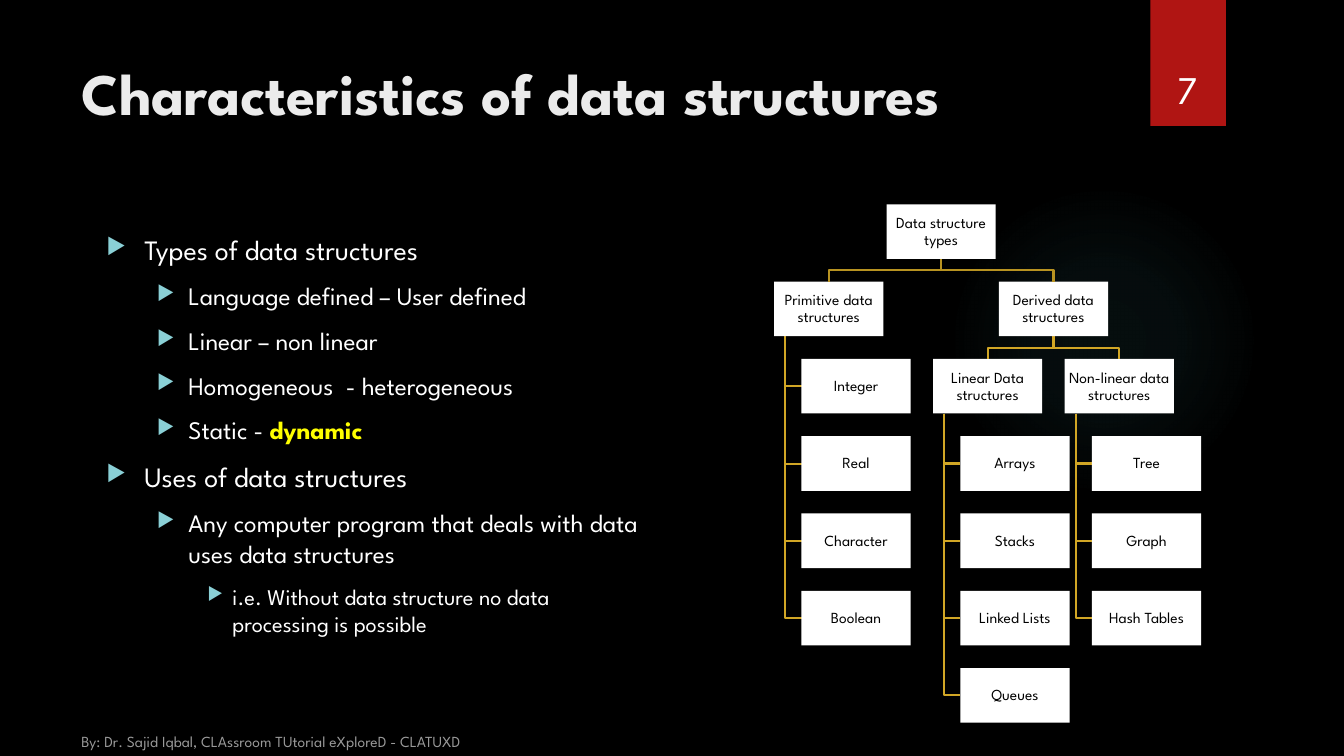
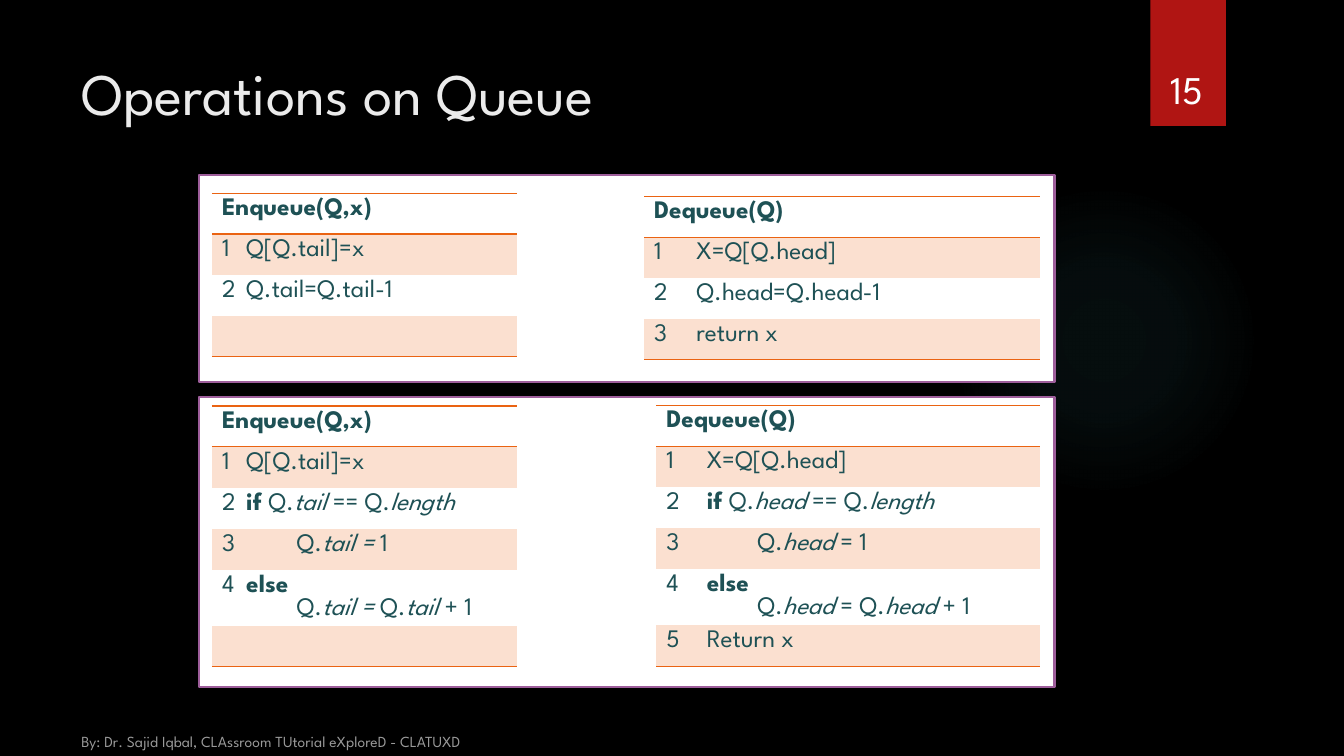
from dataclasses import dataclass

from lxml.etree import SubElement
from pptx import Presentation
from pptx.dml.color import RGBColor
from pptx.enum.shapes import MSO_SHAPE
from pptx.enum.text import MSO_ANCHOR, PP_ALIGN
from pptx.oxml import parse_xml
from pptx.oxml.ns import nsdecls, qn
from pptx.util import Pt


@dataclass(frozen=True)
class Theme:
    font: str = "League Spartan"
    back: str = "000000"
    white: str = "FFFFFF"
    title: str = "EBEBEB"
    faint: str = "999999"
    red: str = "B01513"
    glow: str = "50B9C1"
    mark: str = "8AD0D6"
    key: str = "FFFF00"
    root: str = "B89321"
    branch: str = "D1A625"
    edge: str = "9E5E9B"
    code: str = "1E5155"
    rule: str = "EA6312"
    band: str = "FBE0D0"
    head: int = 42
    page: int = 28
    body: tuple = (20, 18, 16)
    cell: int = 18
    small: int = 11
    lead: float = 1.22
    tight: float = 1.1
    dense: float = 0.92


THEME = Theme()
FOOT = "By: Dr. Sajid Iqbal, CLAssroom TUtorial eXploreD - CLATUXD"
NO_GRID = "{2D5ABB26-0587-4C30-8999-92F81FD0307C}"
INDENT = ((27, -27), (58.5, -22.5), (90, -18))


def tint(code):
    return RGBColor.from_string(code)


def write(para, text, size=18, color=THEME.white, key=None, bold=False,
          lead=THEME.lead, align=PP_ALIGN.LEFT):
    para.alignment = align
    para.line_spacing = Pt(round(size * lead, 2))
    for i, chunk in enumerate(text.split("*")):
        for j, piece in enumerate(chunk.split("_")):
            if piece:
                run = para.add_run()
                run.text = piece
                font = run.font
                font.name, font.size = THEME.font, Pt(size)
                font.bold = bold or i % 2 == 1
                font.italic = j % 2 == 1
                font.color.rgb = tint(key if key and i % 2 else color)


class Deck:
    def __init__(self, theme):
        self.theme = theme
        self.file = Presentation()
        self.file.slide_width, self.file.slide_height = Pt(960), Pt(540)
        self.slide = None

    def start(self, title, page, bold=False):
        look = self.theme
        self.slide = self.file.slides.add_slide(self.file.slide_layouts[6])
        fill = self.slide.background.fill
        fill.solid()
        fill.fore_color.rgb = tint(look.back)
        self.glow(677.5, 131.8, 221.8)
        self.box(821.7, 0, 54, 90, look.red)
        self.text(51, 36, 741, 110, title, size=look.head,
                  color=look.title, bold=bold)
        self.text(51, 516, 304, 24, FOOT, MSO_ANCHOR.BOTTOM,
                  size=look.small, color=look.faint)
        self.text(815, 23, 66, 60.5, page, MSO_ANCHOR.BOTTOM,
                  size=look.page, align=PP_ALIGN.CENTER)

    def box(self, x, y, wide, high, fill, line=None, kind=MSO_SHAPE.RECTANGLE):
        shape = self.slide.shapes.add_shape(kind, Pt(x), Pt(y), Pt(wide), Pt(high))
        shape.shadow.inherit = False
        shape.fill.solid()
        shape.fill.fore_color.rgb = tint(fill)
        if line:
            shape.line.color.rgb = tint(line)
            shape.line.width = Pt(1.5)
        else:
            shape.line.fill.background()
        return shape

    def glow(self, x, y, size):
        shape = self.box(x, y, size, size, self.theme.glow, kind=MSO_SHAPE.OVAL)
        stops = "".join(
            f'<a:gs pos="{pos}000"><a:srgbClr val="{self.theme.glow}">'
            f'<a:alpha val="{alpha}000"/></a:srgbClr></a:gs>'
            for pos, alpha in ((0, 7), (36, 6), (69, 0), (100, 0)))
        grad = parse_xml(
            f'<a:gradFill {nsdecls("a")}><a:gsLst>{stops}</a:gsLst>'
            '<a:path path="circle"><a:fillToRect l="50000" t="50000" '
            'r="50000" b="50000"/></a:path></a:gradFill>')
        props = shape.fill._xPr
        props.replace(props.find(qn("a:solidFill")), grad)

    def area(self, x, y, wide, high, anchor=MSO_ANCHOR.TOP):
        frame = self.slide.shapes.add_textbox(
            Pt(x), Pt(y), Pt(wide), Pt(high)).text_frame
        frame.word_wrap = True
        frame.vertical_anchor = anchor
        return frame

    def text(self, x, y, wide, high, text, anchor=MSO_ANCHOR.TOP, **form):
        write(self.area(x, y, wide, high, anchor).paragraphs[0], text, **form)

    def list(self, x, y, wide, high, items):
        frame = self.area(x, y, wide, high)
        for n, (level, text) in enumerate(items):
            para = frame.add_paragraph() if n else frame.paragraphs[0]
            para.level = level
            para.space_before = Pt(10)
            write(para, text, size=self.theme.body[level], key=self.theme.key)
            props = para._p.get_or_add_pPr()
            left, hang = INDENT[level]
            props.set("marL", str(Pt(left)))
            props.set("indent", str(Pt(hang)))
            color = SubElement(props, qn("a:buClr"))
            SubElement(color, qn("a:srgbClr"), val=self.theme.mark)
            SubElement(props, qn("a:buSzPct"), val="80000")
            SubElement(props, qn("a:buChar"), char="▶")

    def wire(self, color, *points):
        first, *rest = [(Pt(x), Pt(y)) for x, y in points]
        build = self.slide.shapes.build_freeform(*first)
        build.add_line_segments(rest, close=False)
        shape = build.convert_to_shape()
        shape.shadow.inherit = False
        shape.fill.background()
        shape.line.color.rgb = tint(color)
        shape.line.width = Pt(1.5)

    def node(self, x, y, wide, high, text):
        frame = self.box(x, y, wide, high, self.theme.white).text_frame
        frame.word_wrap = True
        frame.vertical_anchor = MSO_ANCHOR.MIDDLE
        frame.margin_left = frame.margin_right = Pt(0.7)
        frame.margin_top = frame.margin_bottom = Pt(0.7)
        write(frame.paragraphs[0], text, size=self.theme.small,
              color=self.theme.back, lead=self.theme.tight,
              align=PP_ALIGN.CENTER)

    def tree(self, node, top, depth=0):
        wide, high, step, inset = 78, 39, 55.2, 19.5
        text, place, kids = node
        y = top + depth * step
        base = y + high
        if isinstance(place, list):
            spots = [self.tree(kid, top, depth + 1) for kid in place]
            x = (spots[0] + spots[-1]) / 2
            mid = base + (step - high) / 2
            color = self.theme.branch if depth else self.theme.root
            for spot in spots:
                self.wire(color, (x + wide / 2, base), (x + wide / 2, mid),
                          (spot + wide / 2, mid), (spot + wide / 2, y + step))
        else:
            x = place
            for n, kid in enumerate(kids, 1):
                row = y + n * step
                self.wire(self.theme.branch, (x + wide / 10, base),
                          (x + wide / 10, row + high / 2),
                          (x + inset, row + high / 2))
                self.node(x + inset, row, wide, high, kid)
        self.node(x, y, wide, high, text)
        return x

    def rule(self, cell, *sides):
        props = cell._tc.get_or_add_tcPr()
        for n, side in enumerate(sides):
            props.insert(n, parse_xml(
                f'<a:{side} {nsdecls("a")} w="12700"><a:solidFill>'
                f'<a:srgbClr val="{self.theme.rule}"/></a:solidFill></a:{side}>'))

    def fill(self, cell, lines, **form):
        cell.margin_right = 0
        frame = cell.text_frame
        for n, line in enumerate(lines):
            para = frame.add_paragraph() if n else frame.paragraphs[0]
            if line.startswith(">"):
                para._p.get_or_add_pPr().set("marL", str(Pt(36)))
            write(para, line.lstrip(">"), size=self.theme.cell,
                  color=self.theme.code, lead=self.theme.dense, **form)

    def grid(self, x, y, cols, head, rows):
        high = 29.2
        count = len(rows) + 1
        table = self.slide.shapes.add_table(
            count, 2, Pt(x), Pt(y), Pt(sum(cols)), Pt(high * count)).table
        table.first_row = table.horz_banding = False
        table._tbl.tblPr.find(qn("a:tableStyleId")).text = NO_GRID
        for col, wide in zip(table.columns, cols):
            col.width = Pt(wide)
        for n, row in enumerate(table.rows):
            row.height = Pt(high)
            for cell in row.cells:
                if n % 2:
                    cell.fill.solid()
                    cell.fill.fore_color.rgb = tint(self.theme.band)
                else:
                    cell.fill.background()
                if n == 0:
                    self.rule(cell, "lnT", "lnB")
                elif n == count - 1:
                    self.rule(cell, "lnB")
        table.cell(0, 0).merge(table.cell(0, 1))
        self.fill(table.cell(0, 0), [head], bold=True)
        for n, lines in enumerate(rows, 1):
            if lines:
                self.fill(table.cell(n, 0), [str(n)])
                self.fill(table.cell(n, 1), lines)


TOPICS = [
    (0, "Types of data structures"),
    (1, "Language defined – User defined"),
    (1, "Linear – non linear"),
    (1, "Homogeneous  - heterogeneous"),
    (1, "Static - *dynamic*"),
    (0, "Uses of data structures"),
    (1, "Any computer program that deals with data uses data structures"),
    (2, "i.e. Without data structure no data processing is possible"),
]
TYPES = ("Data structure types", [
    ("Primitive data structures", 553,
     ["Integer", "Real", "Character", "Boolean"]),
    ("Derived data structures", [
        ("Linear Data structures", 666.5,
         ["Arrays", "Stacks", "Linked Lists", "Queues"]),
        ("Non-linear data structures", 760.5,
         ["Tree", "Graph", "Hash Tables"]),
    ], []),
], [])
PUT, GET = "Enqueue(Q,x)", "Dequeue(Q)"
GRIDS = [
    (151.4, 138, (17.3, 200.7), PUT, [["Q[Q.tail]=x"], ["Q.tail=Q.tail-1"], []]),
    (460, 140.2, (30.3, 252.7), GET,
     [["X=Q[Q.head]"], ["Q.head=Q.head-1"], ["return x"]]),
    (151.4, 290, (17.3, 200.7), PUT,
     [["Q[Q.tail]=x"], ["*if *Q._tail _== Q._length_"], [">Q._tail =_ 1"],
      ["*else*", ">Q._tail = _Q._tail _+ 1"], []]),
    (468.7, 289.5, (29, 245), GET,
     [["X=Q[Q.head]"], ["*if *Q._head _== Q._length_"], [">Q._head _= 1"],
      ["*else*", ">Q._head _= Q._head _+ 1"], ["Return x"]]),
]


def main():
    deck = Deck(THEME)
    deck.start("Characteristics of data structures", "7", bold=True)
    deck.list(69, 162, 399, 330, TOPICS)
    deck.tree(TYPES, 146)
    deck.start("Operations on Queue", "15")
    for y, high in ((125.2, 147.5), (283.8, 207)):
        deck.box(142, y, 611.3, high, THEME.white, THEME.edge)
    for spec in GRIDS:
        deck.grid(*spec)
    deck.file.save("out.pptx")


if __name__ == "__main__":
    main()
